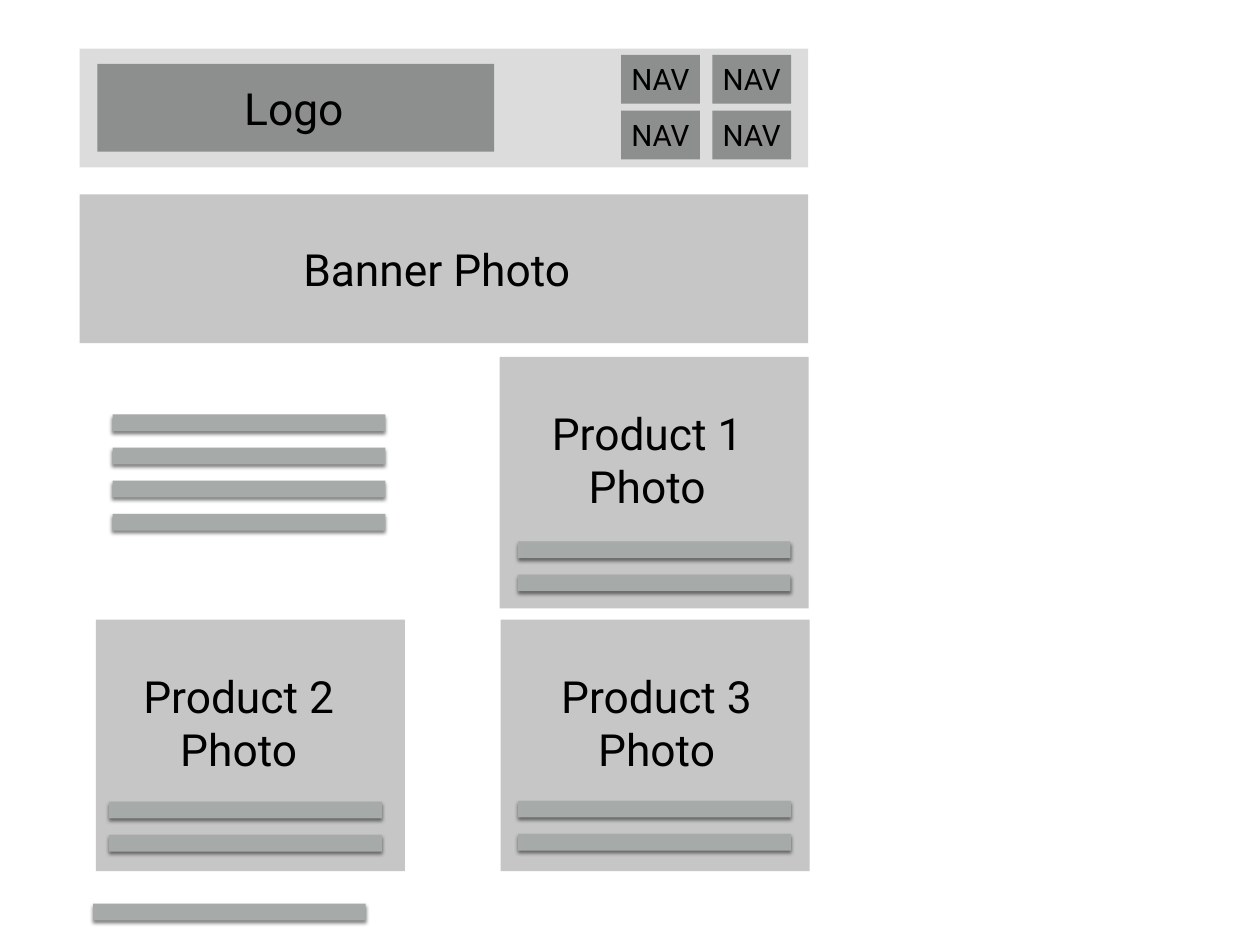
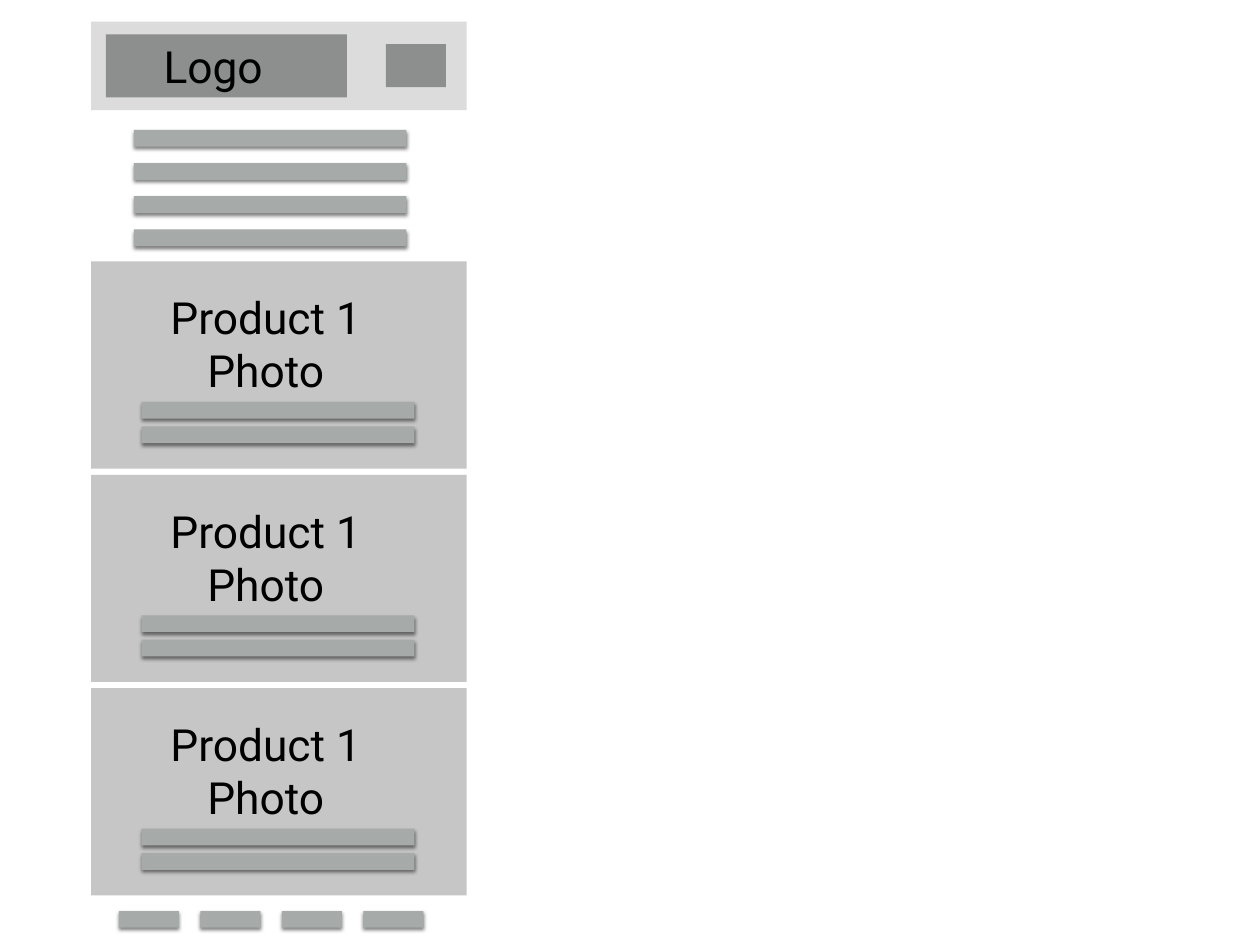
import pptx
import pptx.util
import pptx.dml.color
import pptx.enum.shapes
import pptx.enum.text
import pptx.oxml
import pptx.oxml.ns

HUES = {"band": "DCDCDC", "box": "8C8F8E", "photo": "C6C6C6",
        "bar": "A6AAA9", "ink": "000000"}
FONT = "Roboto"
COLS, ROWS = 128, 96
BAR_W, BAR_H, STEP = 27.7, 1.7, 3.37
SHADE = ('<a:outerShdw %s blurRad="38100" dist="25400" dir="5400000" '
         'rotWithShape="0"><a:srgbClr val="%s"><a:alpha val="50000"/>'
         '</a:srgbClr></a:outerShdw>'
         % (pptx.oxml.ns.nsdecls("a"), HUES["ink"]))

deck = pptx.Presentation()
deck.slide_width = pptx.util.Inches(14.22)
deck.slide_height = pptx.util.Inches(10.67)
col = deck.slide_width / COLS
row = deck.slide_height / ROWS
blank = deck.slide_layouts[6]


def block(page, hue, x, y, w=BAR_W, h=BAR_H):
    """Draw a plain rectangle; text bars also cast a soft shadow."""
    rect = page.shapes.add_shape(
        pptx.enum.shapes.MSO_SHAPE.RECTANGLE,
        round(x * col), round(y * row), round(w * col), round(h * row))
    rect.shadow.inherit = False
    rect.fill.solid()
    rect.fill.fore_color.rgb = pptx.dml.color.RGBColor.from_string(HUES[hue])
    rect.line.fill.background()
    if hue == "bar":
        glow = rect._element.spPr.find(pptx.oxml.ns.qn("a:effectLst"))
        glow.append(pptx.oxml.parse_xml(SHADE))


def label(page, lines, x, y, w, h, size=36):
    """Write centred lines, one paragraph each."""
    box = page.shapes.add_textbox(
        round(x * col), round(y * row), round(w * col), round(h * row))
    frame = box.text_frame
    frame.word_wrap = False
    frame.auto_size = pptx.enum.text.MSO_AUTO_SIZE.SHAPE_TO_FIT_TEXT
    frame.vertical_anchor = pptx.enum.text.MSO_ANCHOR.MIDDLE
    frame.margin_left = frame.margin_right = pptx.util.Inches(0.06)
    frame.margin_top = frame.margin_bottom = pptx.util.Inches(0.06)
    for i, line in enumerate(lines):
        para = frame.add_paragraph() if i else frame.paragraphs[0]
        para.alignment = pptx.enum.text.PP_ALIGN.CENTER
        run = para.add_run()
        run.text = line
        run.font.name = FONT
        run.font.size = pptx.util.Pt(size)
        run.font.color.rgb = pptx.dml.color.RGBColor.from_string(HUES["ink"])


# Wide page: header, banner, intro text, product cards
wide = deck.slides.add_slide(blank)
block(wide, "band", 8.1, 4.95, 74, 12.05)
block(wide, "box", 9.9, 6.5, 40.3, 8.9)
label(wide, ["Logo"], 24.2, 7.75, 11.3, 6.4)
for r in range(2):
    for c in range(2):
        x, y = 63.1 + 9.27 * c, 5.58 + 5.67 * r
        block(wide, "box", x, y, 8, 4.95)
        label(wide, ["NAV"], x, y + 0.15, 8, 4.6, 24)

block(wide, "photo", 8.1, 19.75, 74, 15.1)
label(wide, ["Banner Photo"], 30.2, 24.1, 28.35, 6.4)
for i in range(4):
    block(wide, "bar", 11.45, 42.1 + STEP * i)

# Card corner, then the left edge of its title, then its first bar
cards = [(50.75, 36.25, 54.85, 52.6, 55),
         (9.75, 62.95, 13.35, 11.1, 81.45),
         (50.85, 62.95, 55.8, 52.65, 81.35)]
for n, (x, y, text, left, top) in enumerate(cards, 1):
    block(wide, "photo", x, y, 31.4, 25.55)
    for i in range(2):
        block(wide, "bar", left, top + STEP * i)
    label(wide, [f"Product {n}", "Photo"], text, y + 4.5, 21.8, 11.8)
block(wide, "bar", 9.45, 91.8)

# Narrow page: the same parts stacked in one column
slim = deck.slides.add_slide(blank)
edge, span = 9.25, 38.15
block(slim, "band", edge, 2.2, span, 9)
block(slim, "box", 39.2, 4.5, 6.1, 4.35)
block(slim, "box", 10.75, 3.5, 24.5, 6.4)
label(slim, ["Logo"], 16, 3.5, 11.3, 6.4)
for i in range(4):
    block(slim, "bar", 13.6, 13.2 + STEP * i)

for n in range(3):
    y = 26.55 + 21.68 * n
    block(slim, "photo", edge, y, span, 21.05)
    for i in range(2):
        block(slim, "bar", 14.4, y + 14.28 + 2.48 * i)
    label(slim, ["Product 1", "Photo"], 16.1, y + 2.45, 21.8, 11.8)

for i in range(4):
    block(slim, "bar", 12.08 + 8.28 * i, 92.55, 6.1)

deck.save("out.pptx")
